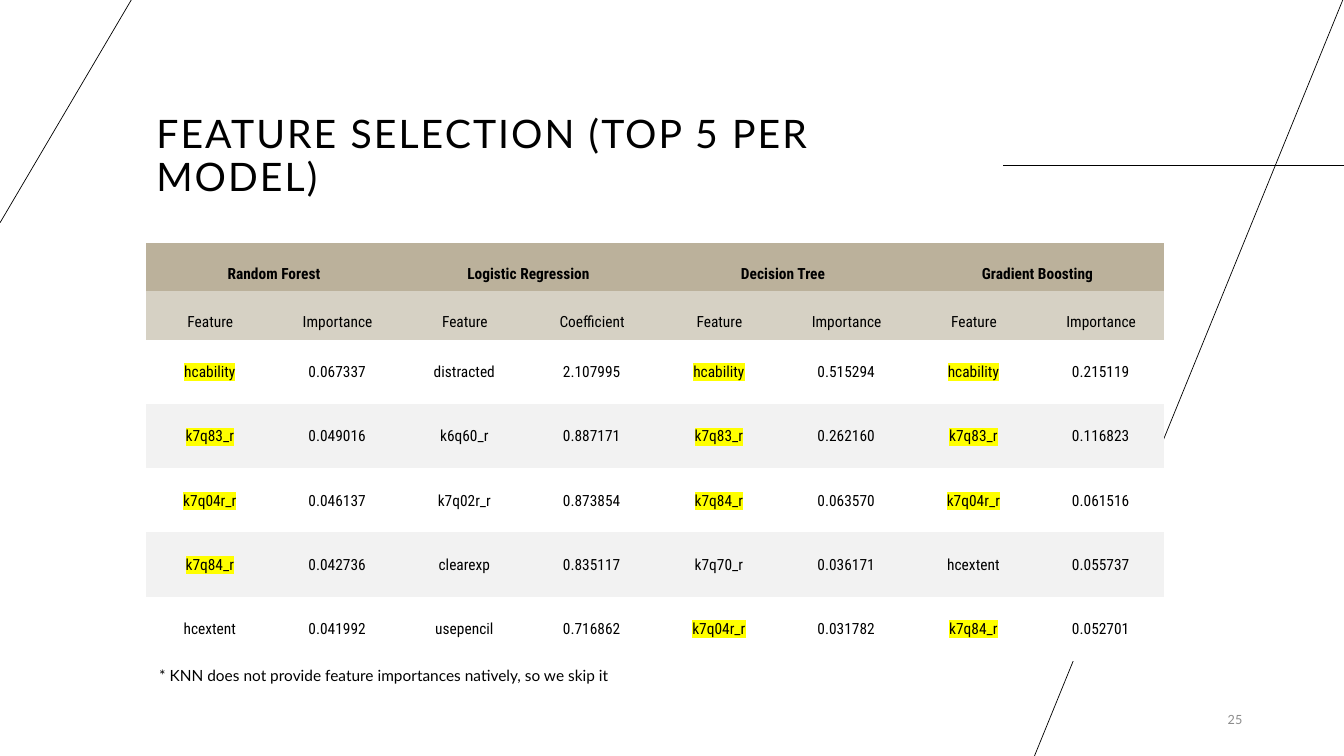
"""Build the slide that lists the five strongest features of each model."""
from typing import NamedTuple

from lxml import etree
from pptx import Presentation
from pptx import util as u
from pptx.dml.color import RGBColor
from pptx.enum import shapes, text
from pptx.oxml.ns import qn

WIDTH, HEIGHT = u.Inches(13.33), u.Inches(7.5)
BODY_FONT, TABLE_FONT = "Lato", "Roboto Condensed"
BLACK, WHITE, GREY, BAND, YELLOW = "000000", "FFFFFF", "8C8C8C", "F2F2F2", "FFFF00"
MODEL_FILL, HEADING_FILL = "BBB19B", "D6D1C4"
NO_GRID_STYLE = "{2D5ABB26-0587-4C30-8999-92F81FD0307C}"
HEADER_ROW, FEATURE_ROW = 6.4, 8.5
SHARED = {"hcability", "k7q83_r", "k7q04r_r", "k7q84_r"}


class Box(NamedTuple):
    """A rectangle in percent of the slide's width and height."""
    left: float
    top: float
    width: float
    height: float


class Line(NamedTuple):
    """A straight line in percent of the slide's width and height."""
    x1: float
    y1: float
    x2: float
    y2: float


class Label(NamedTuple):
    """A line of text with its look."""
    words: str
    size: float
    align: text.PP_ALIGN = text.PP_ALIGN.LEFT
    color: str = BLACK
    font: str = BODY_FONT
    bold: bool = False


class CellLook(NamedTuple):
    """Fill, anchor and margins (left, top, right, bottom in inches) of a cell."""
    fill: str
    anchor: text.MSO_ANCHOR
    margins: tuple[float, float, float, float]


class Model(NamedTuple):
    """A model with its measure and its ranked features."""
    name: str
    measure: str
    features: list[tuple[str, str]]


TITLE_BOX = Box(10.88, 3.87, 59.79, 23.2)
NUMBER_BOX = Box(85.07, 92.67, 8.1, 5.33)
NOTE_BOX = Box(11.1, 87.73, 76.74, 5.33)
TABLE_BOX = Box(10.88, 32.13, 75.77, 2 * HEADER_ROW + 5 * FEATURE_ROW)

LINES = [
    Line(74.64, 21.87, 100, 21.87),
    Line(100, -0.4, 76.97, 100),
    Line(0, 29.47, 9.9, -0.4),
]

MODELS = [
    Model("Random Forest", "Importance", [
        ("hcability", "0.067337"), ("k7q83_r", "0.049016"), ("k7q04r_r", "0.046137"),
        ("k7q84_r", "0.042736"), ("hcextent", "0.041992")]),
    Model("Logistic Regression", "Coefficient", [
        ("distracted", "2.107995"), ("k6q60_r", "0.887171"), ("k7q02r_r", "0.873854"),
        ("clearexp", "0.835117"), ("usepencil", "0.716862")]),
    Model("Decision Tree", "Importance", [
        ("hcability", "0.515294"), ("k7q83_r", "0.262160"), ("k7q84_r", "0.063570"),
        ("k7q70_r", "0.036171"), ("k7q04r_r", "0.031782")]),
    Model("Gradient Boosting", "Importance", [
        ("hcability", "0.215119"), ("k7q83_r", "0.116823"), ("k7q04r_r", "0.061516"),
        ("hcextent", "0.055737"), ("k7q84_r", "0.052701")]),
]


def rgb(value: str) -> RGBColor:
    """Turn a hex string into a colour."""
    return RGBColor.from_string(value)


def across(percent: float) -> int:
    """Turn a share of the slide's width into a length."""
    return round(WIDTH * percent / 100)


def down(percent: float) -> int:
    """Turn a share of the slide's height into a length."""
    return round(HEIGHT * percent / 100)


def place(box: Box) -> tuple[int, int, int, int]:
    """Give left, top, width and height of a box as lengths."""
    return across(box.left), down(box.top), across(box.width), down(box.height)


def write(tf, label: Label):
    """Write a label into a text frame and return its paragraph."""
    tf.word_wrap = True
    p = tf.paragraphs[0]
    p.alignment = label.align
    p.font.name, p.font.size, p.font.bold = label.font, u.Pt(label.size), label.bold
    p.font.color.rgb = rgb(label.color)
    p.add_run().text = label.words
    return p


def highlight(r, color: str) -> None:
    """Mark a run with a background colour."""
    mark = etree.SubElement(r.font._element, qn("a:highlight"))
    etree.SubElement(mark, qn("a:srgbClr"), val=color)


def add_line(slide, line: Line) -> None:
    """Draw a thin black line."""
    sp = slide.shapes.add_connector(
        shapes.MSO_CONNECTOR.STRAIGHT,
        across(line.x1), down(line.y1), across(line.x2), down(line.y2))
    sp.line.color.rgb, sp.line.width = rgb(BLACK), u.Pt(0.5)
    etree.SubElement(sp._element.spPr, qn("a:effectLst"))


def add_title(slide, label: Label) -> None:
    """Move and format the title placeholder."""
    sp = slide.shapes.title
    sp.left, sp.top, sp.width, sp.height = place(TITLE_BOX)
    tf = sp.text_frame
    tf.auto_size = text.MSO_AUTO_SIZE.NONE
    tf.vertical_anchor = text.MSO_ANCHOR.BOTTOM
    p = write(tf, label)
    p.line_spacing = 0.9
    p.runs[0].font._element.set("spc", "150")


def add_text(slide, box: Box, label: Label, anchor: text.MSO_ANCHOR) -> None:
    """Add a text box with one label."""
    tf = slide.shapes.add_textbox(*place(box)).text_frame
    tf.vertical_anchor = anchor
    write(tf, label).line_spacing = 0.9


def fill_cell(cell, words: str, look: CellLook, bold: bool = False) -> None:
    """Fill a table cell and mark a feature that several models share."""
    cell.fill.solid()
    cell.fill.fore_color.rgb = rgb(look.fill)
    cell.vertical_anchor = look.anchor
    (cell.margin_left, cell.margin_top,
     cell.margin_right, cell.margin_bottom) = map(u.Inches, look.margins)
    label = Label(words, 11, text.PP_ALIGN.CENTER, font=TABLE_FONT, bold=bold)
    p = write(cell.text_frame, label)
    if words in SHARED:
        highlight(p.runs[0], YELLOW)


def add_features(slide, models: list[Model]) -> None:
    """Add the table with two columns for each model."""
    count = len(models[0].features)
    table = slide.shapes.add_table(count + 2, 2 * len(models), *place(TABLE_BOX)).table
    table.first_row = table.horz_banding = False
    table._tbl.tblPr.find(qn("a:tableStyleId")).text = NO_GRID_STYLE
    for i, row in enumerate(table.rows):
        row.height = down(HEADER_ROW if i < 2 else FEATURE_ROW)

    header = (text.MSO_ANCHOR.BOTTOM, (0.04, 0.01, 0.03, 0.08))
    body = (text.MSO_ANCHOR.MIDDLE, (0.01, 0.01, 0.01, 0))
    for i, model in enumerate(models):
        col = 2 * i
        table.cell(0, col).merge(table.cell(0, col + 1))
        fill_cell(table.cell(0, col), model.name, CellLook(MODEL_FILL, *header), True)
        for row, pair in enumerate([("Feature", model.measure), *model.features], 1):
            look = (CellLook(HEADING_FILL, *header) if row == 1
                    else CellLook(BAND if row % 2 else WHITE, *body))
            for side, words in enumerate(pair):
                fill_cell(table.cell(row, col + side), words, look)


def main() -> None:
    """Build and save the slide."""
    prs = Presentation()
    prs.slide_width, prs.slide_height = WIDTH, HEIGHT
    slide = prs.slides.add_slide(prs.slide_layouts.get_by_name("Title Only"))
    for line in LINES:
        add_line(slide, line)
    add_title(slide, Label("FEATURE SELECTION (TOP 5 PER MODEL)", 28))
    add_text(slide, NUMBER_BOX, Label("25", 9, text.PP_ALIGN.RIGHT, GREY),
             text.MSO_ANCHOR.MIDDLE)
    add_features(slide, MODELS)
    note = "* KNN does not provide feature importances natively, so we skip it"
    add_text(slide, NOTE_BOX, Label(note, 11), text.MSO_ANCHOR.TOP)
    prs.save("out.pptx")


if __name__ == "__main__":
    main()
